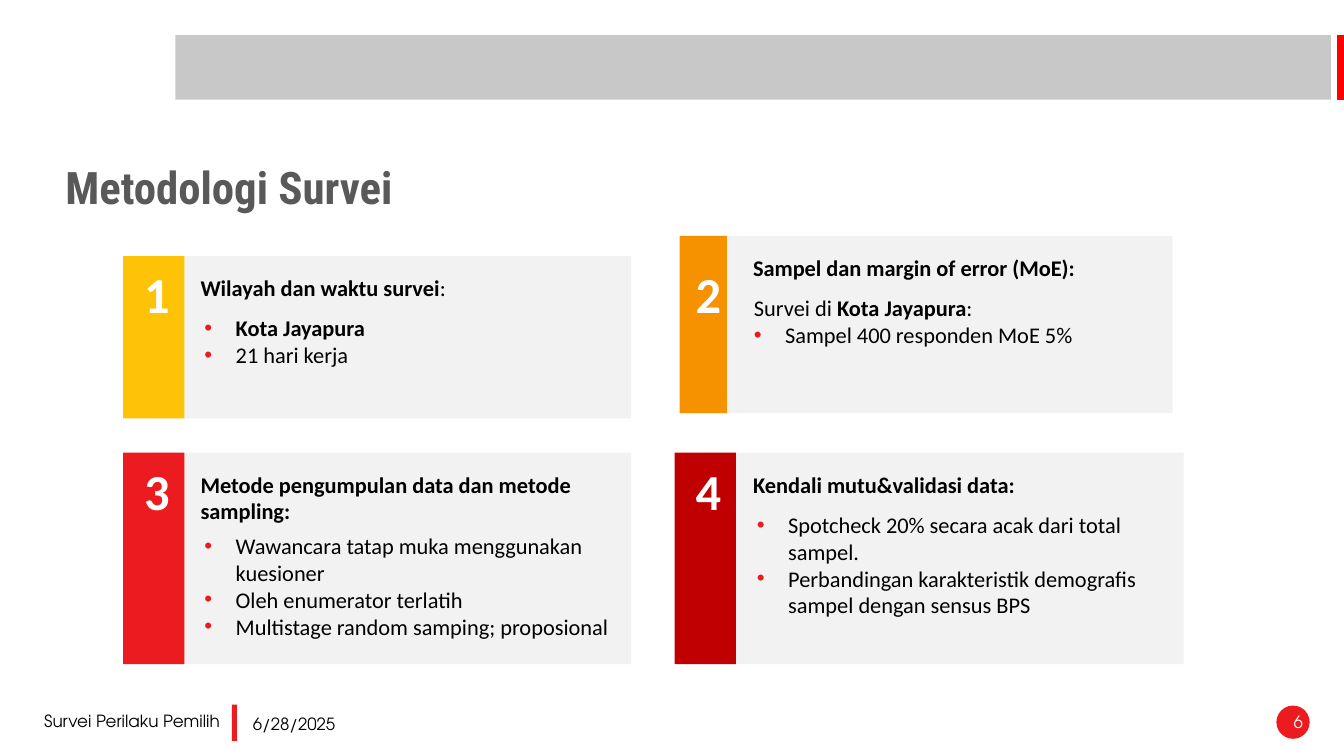
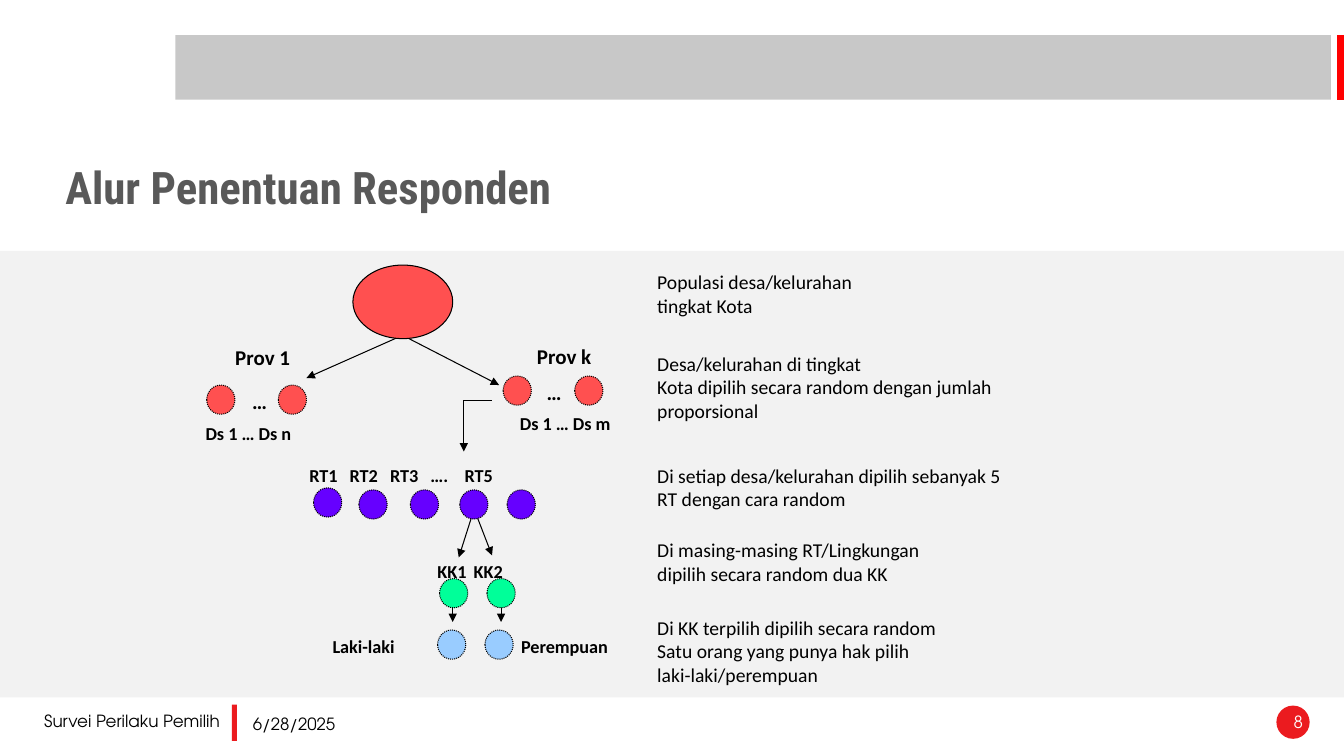
from lxml import etree
from pptx import Presentation
from pptx import util as u
from pptx.dml.color import RGBColor
from pptx.enum import dml, shapes, text
from pptx.oxml import ns

BLACK = RGBColor(0x00, 0x00, 0x00)
WHITE = RGBColor(0xFF, 0xFF, 0xFF)
TITLE_GREY = RGBColor(0x59, 0x59, 0x59)
BAND_GREY = RGBColor(0xC8, 0xC8, 0xC8)
PANEL_GREY = RGBColor(0xF2, 0xF2, 0xF2)
ACCENT_RED = RGBColor(0xEB, 0x1B, 0x1F)
PURE_RED = RGBColor(0xFF, 0x00, 0x00)
DARK_RED = RGBColor(0xC0, 0x00, 0x00)
YELLOW = RGBColor(0xFE, 0xC3, 0x06)
ORANGE = RGBColor(0xF6, 0x92, 0x00)
CORAL = RGBColor(0xFF, 0x50, 0x50)
VIOLET = RGBColor(0x66, 0x00, 0xFF)
MINT = RGBColor(0x00, 0xFF, 0x99)
SKY = RGBColor(0x99, 0xCC, 0xFF)

BODY_FONT = "Calibri"
TITLE_FONT = "Roboto Condensed"
FOOTER_FONT = "TeX Gyre Adventor"

RECT = shapes.MSO_SHAPE.RECTANGLE
OVAL = shapes.MSO_SHAPE.OVAL
LEFT, CENTER, RIGHT = text.PP_ALIGN.LEFT, text.PP_ALIGN.CENTER, text.PP_ALIGN.RIGHT


class Slides:
    def __init__(self):
        self.deck = Presentation()
        self.deck.slide_width = u.Inches(13.33)
        self.deck.slide_height = u.Inches(7.5)
        self.page = None

    def new_page(self, title, number):
        self.page = self.deck.slides.add_slide(self.deck.slide_layouts[6])
        self.shape(RECT, 1.74, 0.35, 11.46, 0.64, BAND_GREY)
        self.line((13.3, 0.35), (13.3, 0.99), PURE_RED, 6)
        self.text(0.55, 1.42, 8, 0.92, [title], 32, TITLE_FONT, TITLE_GREY,
                  bold=True, middle=True, spacing=0.9)
        self.shape(RECT, 2.3, 6.99, 0.05, 0.36, ACCENT_RED)
        self.shape(OVAL, 12.66, 7, 0.33, 0.33, ACCENT_RED)
        self.text(0.34, 7, 2.1, 0.4, ["Survei Perilaku Pemilih"], 12, FOOTER_FONT)
        self.text(2.41, 7.03, 1.69, 0.4, ["6/28/2025"], 12, FOOTER_FONT)
        self.text(11.24, 7.01, 1.78, 0.4, [number], 12, FOOTER_FONT, WHITE, align=RIGHT)

    def shape(self, kind, left, top, width, height, fill, outline=None):
        shape = self.page.shapes.add_shape(
            kind, u.Inches(left), u.Inches(top), u.Inches(width), u.Inches(height))
        shape.shadow.inherit = False
        shape.fill.solid()
        shape.fill.fore_color.rgb = fill
        if outline is None:
            shape.line.fill.background()
        else:
            shape.line.color.rgb = BLACK
            shape.line.width = u.Pt(0.75)
            shape.line.dash_style = outline

    def line(self, start, end, color=BLACK, width=0.75, arrow=False):
        x1, y1, x2, y2 = (u.Inches(value) for value in (*start, *end))
        line = self.page.shapes.add_connector(
            shapes.MSO_CONNECTOR.STRAIGHT, x1, y1, x2, y2)
        line.line.color.rgb = color
        line.line.width = u.Pt(width)
        if arrow:
            outline = line.line._get_or_add_ln()
            etree.SubElement(outline, ns.qn("a:tailEnd"), type="triangle")
        etree.SubElement(line._element.spPr, ns.qn("a:effectLst"))

    def text(self, left, top, width, height, lines, size, font=BODY_FONT, color=BLACK,
             bold=False, align=LEFT, middle=False, spacing=None):
        box = self.page.shapes.add_textbox(
            u.Inches(left), u.Inches(top), u.Inches(width), u.Inches(height))
        frame = box.text_frame
        frame.word_wrap = True
        if middle:
            frame.vertical_anchor = text.MSO_ANCHOR.MIDDLE
        frame.text = "\n".join(lines)
        for para in frame.paragraphs:
            para.alignment = align
            if spacing:
                para.line_spacing = spacing
            for span in para.runs:
                self.style(span, size, font, color, bold)
        return frame

    def style(self, span, size, font, color, bold):
        span.font.size = u.Pt(size)
        span.font.name = font
        span.font.color.rgb = color
        span.font.bold = bold

    def rich_text(self, left, top, width, height, lines):
        frame = self.text(left, top, width, height, [""] * len(lines), 16)
        for para, (bulleted, pieces) in zip(frame.paragraphs, lines):
            for words, bold in pieces:
                span = para.add_run()
                span.text = words
                self.style(span, 16, BODY_FONT, BLACK, bold)
            if bulleted:
                self.bullet(para)

    def bullet(self, para):
        props = para._p.get_or_add_pPr()
        props.set("marL", str(u.Inches(0.31)))
        props.set("indent", str(-u.Inches(0.31)))
        tint = etree.SubElement(props, ns.qn("a:buClr"))
        etree.SubElement(tint, ns.qn("a:srgbClr"), val=str(ACCENT_RED))
        etree.SubElement(props, ns.qn("a:buFont"), typeface="Arial")
        etree.SubElement(props, ns.qn("a:buChar"), char="•")

    def card(self, digit, color, tab, panel_left, digit_place, heading, body_place, body):
        tab_left, top, tab_width, height = tab
        self.shape(RECT, panel_left, top, 4.75, height, PANEL_GREY)
        self.shape(RECT, tab_left, top, tab_width, height, color)
        self.text(*digit_place, 0.39, 0.62, [digit], 36, color=WHITE, bold=True,
                  align=CENTER, middle=True, spacing=0.9)
        heading_left = 1.89 if tab_left < 6 else 7.37
        self.rich_text(heading_left, top + 0.13, 4.12, 0.37, [(False, heading)])
        self.rich_text(*body_place, 4.27, 1.18, body)

    def label(self, left, top, width, words, size=13, align=LEFT):
        self.text(left, top, width, 0.3, [words], size, bold=True, align=align)

    def dots(self, lefts, top, color):
        for left in lefts:
            self.shape(OVAL, left, top, 0.28, 0.29, color, dml.MSO_LINE.ROUND_DOT)


def plain_bullets(*lines):
    return [(True, [(line, False)]) for line in lines]


def build_method(slides):
    slides.new_page("Metodologi Survei", "6")
    slides.card("1", YELLOW, (1.22, 2.54, 0.61, 1.61), 1.51, (1.33, 2.64),
                [("Wilayah dan waktu survei", True), (":", False)], (1.93, 3.07),
                [(True, [("Kota Jayapura", True)]), *plain_bullets("21 hari kerja")])
    slides.card("2", ORANGE, (6.74, 2.34, 0.47, 1.76), 6.88, (6.8, 2.64),
                [("Sampel dan margin of error (MoE):", True)], (7.38, 2.87),
                [(False, [("Survei di ", False), ("Kota Jayapura", True), (":", False)]),
                 *plain_bullets("Sampel 400 responden MoE 5%")])
    slides.card("3", ACCENT_RED, (1.22, 4.49, 0.61, 2.1), 1.51, (1.33, 4.59),
                [("Metode pengumpulan data dan metode sampling:", True)], (1.93, 5.23),
                plain_bullets("Wawancara tatap muka menggunakan kuesioner",
                              "Oleh enumerator terlatih",
                              "Multistage random samping; proposional"))
    slides.card("4", DARK_RED, (6.69, 4.49, 0.61, 2.1), 6.99, (6.8, 4.59),
                [("Kendali mutu&validasi data:", True)], (7.41, 5.02),
                plain_bullets("Spotcheck 20% secara acak dari total sampel.",
                              "Perbandingan karakteristik demografis sampel dengan sensus BPS"))


def build_flow(slides):
    slides.new_page("Alur Penentuan Responden", "8")
    slides.shape(RECT, 0, 2.49, 13.33, 4.43, PANEL_GREY)

    notes = [
        (2.63, ["Populasi desa/kelurahan", "tingkat Kota"]),
        (3.44, ["Desa/kelurahan di tingkat",
                "Kota dipilih secara random dengan jumlah proporsional"]),
        (4.55, ["Di setiap desa/kelurahan dipilih sebanyak 5 RT dengan cara random"]),
        (5.29, ["Di masing-masing RT/Lingkungan", "dipilih secara random dua KK"]),
        (6.06, ["Di KK terpilih dipilih secara random",
                "Satu orang yang punya hak pilih", "laki-laki/perempuan"]),
    ]
    for top, lines in notes:
        slides.text(6.42, top, 3.78, 0.6, lines, 14)

    arrows = [
        ((4.03, 3.31), (3.04, 3.75)), ((3.96, 3.31), (4.95, 3.82)),
        ((4.6, 3.97), (4.6, 4.48)),
        ((4.69, 5.09), (4.55, 5.53)), ((4.71, 5.07), (4.88, 5.51)),
        ((4.49, 5.81), (4.49, 6.17)), ((4.97, 5.8), (4.97, 6.17)),
    ]
    for start, end in arrows:
        slides.line(start, end, arrow=True)
    slides.line((4.6, 3.97), (4.88, 3.97))

    slides.shape(OVAL, 3.5, 2.63, 0.99, 0.73, CORAL, dml.MSO_LINE.SOLID)
    slides.dots((2.05, 2.76), 3.82, CORAL)
    slides.dots((4.99, 5.7), 3.73, CORAL)
    slides.dots((3.11,), 4.84, VIOLET)
    slides.dots((3.56, 4.07, 4.56, 5.03), 4.86, VIOLET)
    slides.dots((4.36, 4.83), 5.74, MINT)
    slides.dots((4.34, 4.81), 6.25, SKY)

    slides.label(1.77, 3.37, 1.67, "Prov 1", 15, CENTER)
    slides.label(4.8, 3.36, 1.59, "Prov k", 15, CENTER)
    slides.label(2.15, 3.81, 0.85, "…", 15, CENTER)
    slides.label(5.07, 3.72, 0.85, "…", 15, CENTER)
    slides.label(1.94, 4.14, 1.4, "Ds 1 … Ds n")
    slides.label(4.86, 4.04, 1.49, "Ds 1 … Ds m", align=CENTER)
    for left, words in zip((2.97, 3.37, 3.77, 4.17, 4.51),
                           ("RT1", "RT2", "RT3", "….", "RT5")):
        slides.label(left, 4.56, 0.6, words)
    for left, words in ((4.24, "KK1"), (4.6, "KK2")):
        slides.label(left, 5.51, 0.6, words)
    slides.label(3.2, 6.25, 1.06, "Laki-laki")
    slides.label(5.07, 6.25, 1.4, "Perempuan")


def main():
    slides = Slides()
    build_method(slides)
    build_flow(slides)
    slides.deck.save("out.pptx")


if __name__ == "__main__":
    main()
